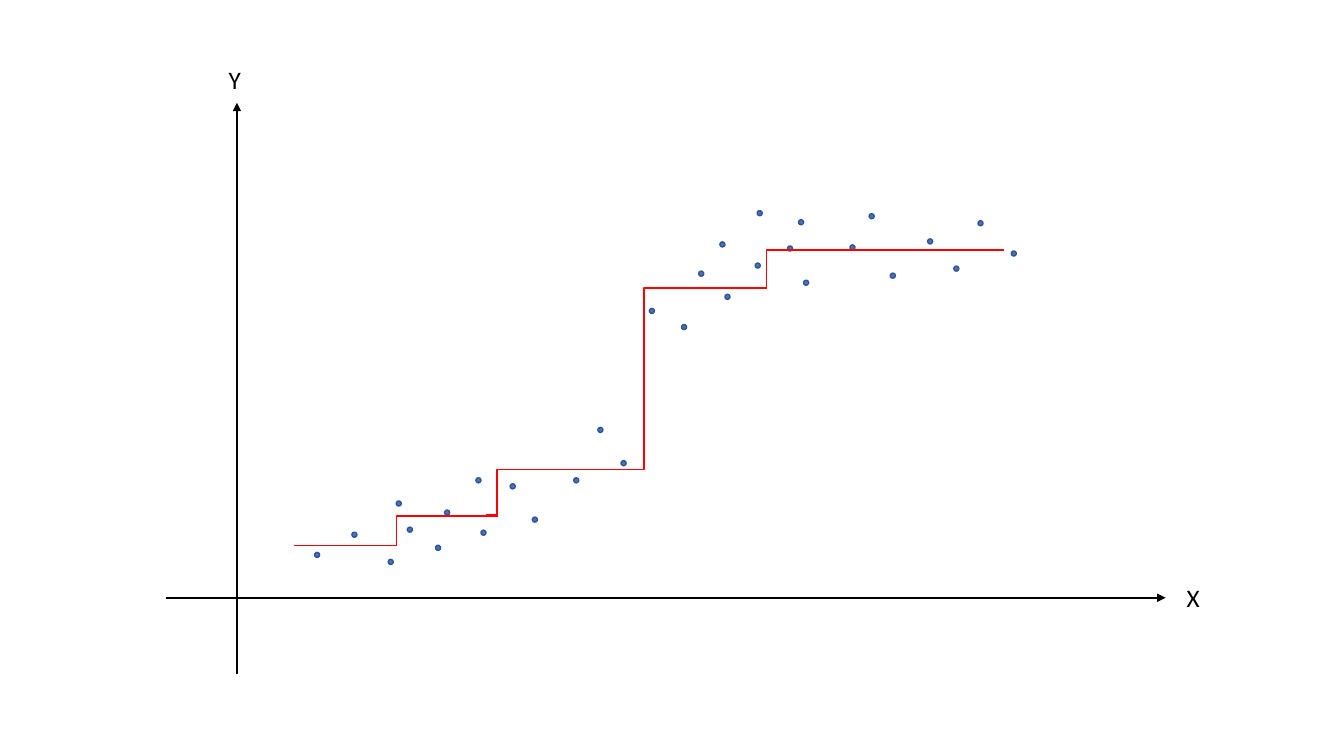
from lxml.etree import SubElement
from pptx import Presentation
from pptx.dml.color import RGBColor
from pptx.enum.shapes import MSO_CONNECTOR as Connector, MSO_SHAPE as Preset
from pptx.enum.text import MSO_AUTO_SIZE as AutoSize
from pptx.oxml.ns import qn
from pptx.util import Inches, Pt

COLORS = {"axis": "000000", "dot": "4472C4", "dot_edge": "325491", "step": "FF0000"}
FONT = "Calibri"
DOT_SIZE = 0.05

AXES = [((2.35, 6.69), (2.35, 1.02)), ((1.65, 5.93), (11.56, 5.93))]
AXIS_LABELS = [("Y", 2.17, 0.59), ("X", 11.67, 5.73)]
DOTS = [
    (3.12, 5.48), (3.49, 5.28), (3.85, 5.55), (4.04, 5.23), (3.93, 4.97),
    (4.32, 5.41), (4.41, 5.06), (4.77, 5.26), (5.06, 4.8), (5.28, 5.13),
    (5.69, 4.74), (5.93, 4.24), (6.16, 4.57), (7.92, 2.18), (4.72, 4.74),
    (7.19, 2.92), (7.49, 2.61), (6.44, 3.06), (7.81, 2.44), (6.76, 3.22),
    (6.93, 2.69), (7.14, 2.4), (7.51, 2.09), (8.43, 2.43), (7.97, 2.78),
    (8.62, 2.12), (8.83, 2.71), (9.2, 2.37), (9.46, 2.64), (9.7, 2.19),
    (10.03, 2.49),
]
STEPS = [
    ((2.92, 5.41), (4.94, 5.12), 3.93),
    ((4.82, 5.11), (5.98, 4.66), 4.93),
    ((5.72, 4.66), (7.61, 2.86), 6.39),
    ((6.87, 2.86), (9.96, 2.48), 7.6),
]


class Plot:
    def __init__(self, slide, colors, font):
        self.slide = slide
        self.colors = colors
        self.font = font

    def color(self, name):
        return RGBColor.from_string(self.colors[name])

    def connector(self, kind, start, end, color, width):
        points = [Inches(value) for value in (*start, *end)]
        connector = self.slide.shapes.add_connector(kind, *points)
        connector.line.color.rgb = self.color(color)
        connector.line.width = Pt(width)
        SubElement(connector._element.spPr, qn("a:effectLst"))
        return connector

    def axis(self, start, end):
        axis = self.connector(Connector.STRAIGHT, start, end, "axis", 1.5)
        SubElement(axis.line._get_or_add_ln(), qn("a:tailEnd"), type="triangle")

    def step(self, start, end, riser):
        step = self.connector(Connector.ELBOW, start, end, "step", 1)
        share = round((riser - start[0]) / (end[0] - start[0]) * 100000)
        adjustments = step._element.spPr.find(qn("a:prstGeom")).get_or_add_avLst()
        SubElement(adjustments, qn("a:gd"), name="adj1", fmla=f"val {share}")

    def dot(self, left, top):
        size = Inches(DOT_SIZE)
        dot = self.slide.shapes.add_shape(
            Preset.FLOWCHART_CONNECTOR, Inches(left), Inches(top), size, size)
        dot.shadow.inherit = False
        dot.fill.solid()
        dot.fill.fore_color.rgb = self.color("dot")
        dot.line.color.rgb = self.color("dot_edge")
        dot.line.width = Pt(1)

    def label(self, text, left, top):
        box = self.slide.shapes.add_textbox(
            Inches(left), Inches(top), Inches(0.36), Inches(0.4))
        frame = box.text_frame
        frame.word_wrap = True
        frame.auto_size = AutoSize.SHAPE_TO_FIT_TEXT
        run = frame.paragraphs[0].add_run()
        run.text = text
        run.font.name = self.font
        run.font.size = Pt(18)
        run.font.color.rgb = self.color("axis")


presentation = Presentation()
presentation.slide_width = Inches(13.33)
presentation.slide_height = Inches(7.5)
slide = presentation.slides.add_slide(presentation.slide_layouts[6])
plot = Plot(slide, COLORS, FONT)

for axis in AXES:
    plot.axis(*axis)
for dot in DOTS:
    plot.dot(*dot)
for step in STEPS:
    plot.step(*step)
for label in AXIS_LABELS:
    plot.label(*label)

presentation.save("out.pptx")
